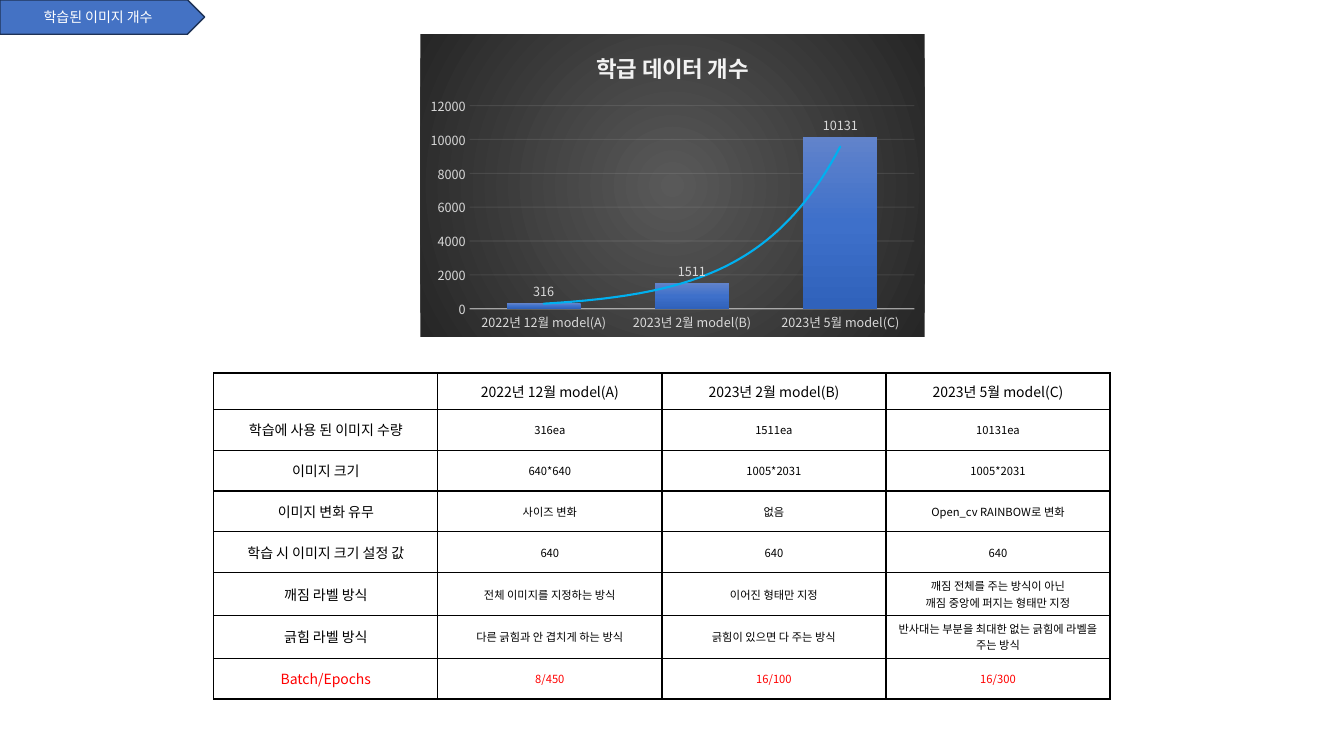
from lxml import etree
from pptx import Presentation
from pptx.chart.data import CategoryChartData
from pptx.dml.color import RGBColor
from pptx.enum.chart import XL_CHART_TYPE, XL_LABEL_POSITION, XL_TICK_MARK
from pptx.enum.shapes import MSO_SHAPE
from pptx.enum.text import MSO_ANCHOR, PP_ALIGN
from pptx.oxml import parse_xml
from pptx.oxml.ns import nsdecls, qn
from pptx.util import Inches, Pt

FONT = "Noto Sans CJK KR"
COLORS = {
    "banner": "4472C4", "banner_line": "1E3256", "white": "FFFFFF",
    "black": "000000", "red": "FF0000", "title": "F2F2F2", "label": "D9D9D9",
    "grid": "F2F2F2", "trend": "00B0F0", "center": "595959", "edge": "262626",
    "bar_top": "6183CB", "bar_middle": "3E70CA", "bar_bottom": "3062BB",
}
MODELS = ["2022년 12월 model(A)", "2023년 2월 model(B)", "2023년 5월 model(C)"]
IMAGE_COUNTS = [316, 1511, 10131]
ROWS = [
    ["", *MODELS],
    ["학습에 사용 된 이미지 수량", *(f"{count}ea" for count in IMAGE_COUNTS)],
    ["이미지 크기", "640*640", "1005*2031", "1005*2031"],
    ["이미지 변화 유무", "사이즈 변화", "없음", "Open_cv RAINBOW로 변화"],
    ["학습 시 이미지 크기 설정 값", "640", "640", "640"],
    ["깨짐 라벨 방식", "전체 이미지를 지정하는 방식", "이어진 형태만 지정",
     "깨짐 전체를 주는 방식이 아닌\v깨짐 중앙에 퍼지는 형태만 지정"],
    ["긁힘 라벨 방식", "다른 긁힘과 안 겹치게 하는 방식", "긁힘이 있으면 다 주는 방식",
     "반사대는 부분을 최대한 없는 긁힘에 라벨을 주는 방식"],
    ["Batch/Epochs", "8/450", "16/100", "16/300"],
]


def rgb(name):
    return RGBColor.from_string(COLORS[name])


def style_font(font, size, color, bold=False):
    font.name, font.size, font.bold = FONT, Pt(size), bold
    font.color.rgb = rgb(color)


def add_east_asian_fonts(root):
    """Give Korean letters the same typeface as the Latin ones."""
    for latin in list(root.iter(qn("a:latin"))):
        east_asian = etree.Element(qn("a:ea"), typeface=FONT)
        latin.addnext(east_asian)


def gradient_xml(stops, direction):
    stop_xml = "".join(
        f'<a:gs pos="{position * 1000}"><a:srgbClr val="{COLORS[color]}"/></a:gs>'
        for position, color in stops)
    return (f'<a:gradFill {nsdecls("a")} rotWithShape="1">'
            f"<a:gsLst>{stop_xml}</a:gsLst>{direction}</a:gradFill>")


def style_line(line, width, color, owner, color_query, opacity):
    line.width = Pt(width)
    line.color.rgb = rgb(color)
    for color_element in owner.xpath(color_query):
        etree.SubElement(color_element, qn("a:alpha"), val=str(opacity * 1000))


def add_banner(slide, left, top, width, height):
    banner = slide.shapes.add_shape(MSO_SHAPE.PENTAGON, left, top, width, height)
    banner.shadow.inherit = False
    banner.fill.solid()
    banner.fill.fore_color.rgb = rgb("banner")
    banner.line.color.rgb = rgb("banner_line")
    banner.line.width = Pt(1)
    banner.text_frame.vertical_anchor = MSO_ANCHOR.MIDDLE
    paragraph = banner.text_frame.paragraphs[0]
    paragraph.text = "학습된 이미지 개수"
    paragraph.alignment = PP_ALIGN.CENTER
    style_font(paragraph.font, 10, "white")


def style_axes(chart):
    for axis in (chart.category_axis, chart.value_axis):
        axis.major_tick_mark = axis.minor_tick_mark = XL_TICK_MARK.NONE
        style_font(axis.tick_labels.font, 9, "label")
    category_axis, value_axis = chart.category_axis, chart.value_axis
    style_line(category_axis.format.line, 1, "grid", category_axis._element,
               "./c:spPr//a:srgbClr", 54)
    value_axis.format.line.fill.background()
    value_axis.has_major_gridlines = True
    style_line(value_axis.major_gridlines.format.line, 0.75, "grid",
               value_axis._element, "./c:majorGridlines//a:srgbClr", 10)


def style_bars(plot):
    """Gradient bars with value labels and an exponential trend line."""
    plot.gap_width, plot.overlap = 100, -24
    plot.vary_by_categories = False
    series = plot.series[0]
    series.format.line.fill.background()
    bar_fill = gradient_xml([(0, "bar_top"), (50, "bar_middle"), (100, "bar_bottom")],
                            '<a:lin ang="5400000" scaled="0"/>')
    series._element.find(qn("c:spPr")).insert(0, parse_xml(bar_fill))
    labels = series.data_labels
    labels.show_value = True
    labels.position = XL_LABEL_POSITION.OUTSIDE_END
    style_font(labels.font, 9, "label")
    series._element.find(qn("c:cat")).addprevious(parse_xml(
        f'<c:trendline {nsdecls("c", "a")}><c:spPr><a:ln w="{Pt(1.5)}" cap="rnd">'
        f'<a:solidFill><a:srgbClr val="{COLORS["trend"]}"/></a:solidFill></a:ln></c:spPr>'
        '<c:trendlineType val="exp"/><c:dispRSqr val="0"/><c:dispEq val="0"/>'
        "</c:trendline>"))


def add_count_chart(slide, left, top, width, height):
    data = CategoryChartData()
    data.categories = MODELS
    data.add_series("Series 1", IMAGE_COUNTS)
    chart = slide.shapes.add_chart(
        XL_CHART_TYPE.COLUMN_CLUSTERED, left, top, width, height, data).chart
    style_font(chart.font, 10, "black")
    chart.has_legend = False
    chart.has_title = True
    title = chart.chart_title.text_frame.paragraphs[0]
    title.text = "학급 데이터 개수"
    style_font(title.font, 16, "title", bold=True)
    style_axes(chart)
    style_bars(chart.plots[0])
    background = gradient_xml(
        [(0, "center"), (100, "edge")],
        '<a:path path="circle"><a:fillToRect l="50000" t="50000" r="50000" b="50000"/></a:path>')
    chart_space = chart._chartSpace
    chart_space.find(qn("c:chart")).addnext(parse_xml(
        f'<c:spPr {nsdecls("c", "a")}>{background}<a:ln><a:noFill/></a:ln></c:spPr>'))
    add_east_asian_fonts(chart_space)


def add_borders(cell):
    properties = cell._tc.get_or_add_tcPr()
    for index, side in enumerate("LRTB"):
        properties.insert(index, parse_xml(
            f'<a:ln{side} {nsdecls("a")} w="{Pt(1)}"><a:solidFill>'
            f'<a:srgbClr val="{COLORS["black"]}"/></a:solidFill></a:ln{side}>'))


def add_model_table(slide, left, top, width, height, header_height):
    row_count, column_count = len(ROWS), len(ROWS[0])
    table = slide.shapes.add_table(
        row_count, column_count, left, top, width, height).table
    table.first_row = table.horz_banding = False
    for row in table.rows:
        row.height = (height - header_height) // (row_count - 1)
    table.rows[0].height = header_height
    for row_index, texts in enumerate(ROWS):
        color = "red" if row_index == row_count - 1 else "black"
        for column_index, text in enumerate(texts):
            cell = table.cell(row_index, column_index)
            cell.fill.background()
            cell.vertical_anchor = MSO_ANCHOR.MIDDLE
            add_borders(cell)
            paragraph = cell.text_frame.paragraphs[0]
            paragraph.text = text
            paragraph.alignment = PP_ALIGN.CENTER
            is_heading = row_index == 0 or column_index == 0
            style_font(paragraph.font, 10 if is_heading else 8, color)


def main():
    presentation = Presentation()
    presentation.slide_width, presentation.slide_height = Inches(13.33), Inches(7.5)
    slide = presentation.slides.add_slide(presentation.slide_layouts[6])
    add_banner(slide, 0, 0, Inches(2.03), Inches(0.34))
    add_model_table(slide, Inches(2.12), Inches(3.7), Inches(8.89), Inches(3.2),
                    header_height=Inches(0.36))
    add_count_chart(slide, Inches(4.17), Inches(0.34), Inches(5), Inches(3))
    add_east_asian_fonts(slide.shapes._spTree)
    presentation.save("out.pptx")


if __name__ == "__main__":
    main()
